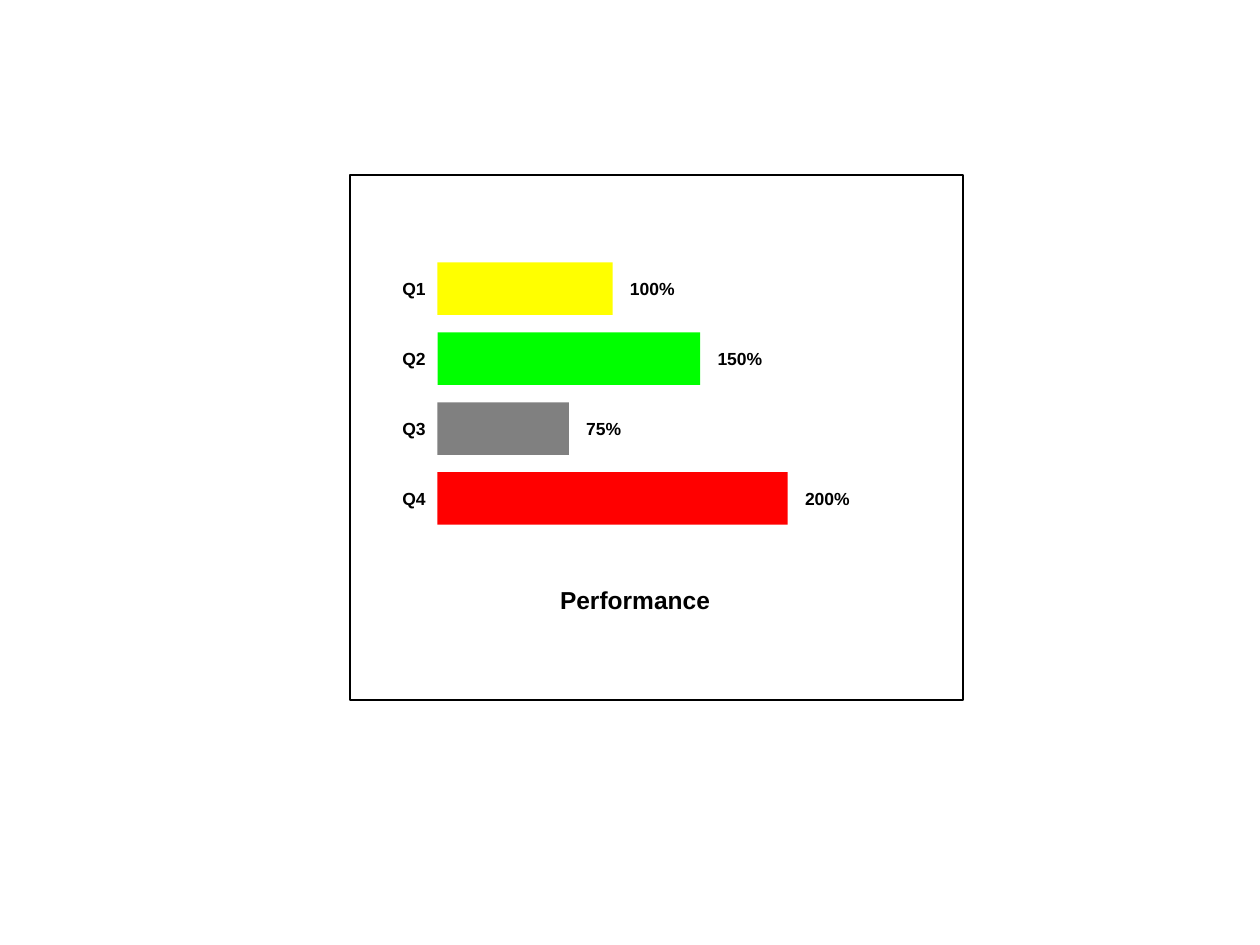
from pptx import Presentation
from pptx.dml.color import RGBColor
from pptx.enum.shapes import MSO_SHAPE
from pptx.enum.text import MSO_ANCHOR
from pptx.util import Cm, Pt

RECTANGLE = MSO_SHAPE.RECTANGLE
MIDDLE = MSO_ANCHOR.MIDDLE

COLORS = {
    "black": "000000",
    "yellow": "FFFF00",
    "green": "00FF00",
    "gray": "808080",
    "red": "FF0000",
}
QUARTERS = [
    ("Q1", 100, "yellow"),
    ("Q2", 150, "green"),
    ("Q3", 75, "gray"),
    ("Q4", 200, "red"),
]

# All lengths in centimetres
LABEL_LEFT = 8.11
BAR_LEFT, BAR_TOP = 8.82, 5.29
BAR_HEIGHT, BAR_PITCH = 1.06, 1.41
FULL_BAR_WIDTH = 3.53  # width of a 100% bar
VALUE_GAP = 0.35
TEXT_HEIGHT, CHARACTER_WIDTH = 0.64, 0.24


def color(name):
    return RGBColor.from_string(COLORS[name])


def add_text(page, text, left, top, width, height, size):
    box = page.shapes.add_textbox(Cm(left), Cm(top), Cm(width), Cm(height))
    frame = box.text_frame
    frame.margin_left = frame.margin_right = 0
    frame.margin_top = frame.margin_bottom = 0
    frame.vertical_anchor = MIDDLE
    frame.word_wrap = False
    para = frame.paragraphs[0]
    para.text = text
    para.font.name = "Arial"
    para.font.size = Pt(size)
    para.font.bold = True
    para.font.color.rgb = color("black")


def add_rectangle(page, left, top, width, height, fill=None, line=None):
    shape = page.shapes.add_shape(
        RECTANGLE, Cm(left), Cm(top), Cm(width), Cm(height))
    shape.shadow.inherit = False
    if fill:
        shape.fill.solid()
        shape.fill.fore_color.rgb = color(fill)
    else:
        shape.fill.background()
    if line:
        shape.line.color.rgb = color(line)
        shape.line.width = Pt(1)
    else:
        shape.line.fill.background()


def add_quarter(page, index, label, percent, fill):
    """Draw one bar with its name on the left and its value on the right."""
    top = BAR_TOP + index * BAR_PITCH
    width = FULL_BAR_WIDTH * percent / 100
    value_left = BAR_LEFT + width + VALUE_GAP
    text_top = top + (BAR_HEIGHT - TEXT_HEIGHT) / 2
    for text, left in ((label, LABEL_LEFT), (f"{percent}%", value_left)):
        add_text(page, text, left, text_top,
                 CHARACTER_WIDTH * len(text), TEXT_HEIGHT, 10)
    add_rectangle(page, BAR_LEFT, top, width, BAR_HEIGHT, fill=fill)


def main():
    deck = Presentation()
    deck.slide_width, deck.slide_height = Cm(25.4), Cm(19.05)
    page = deck.slides.add_slide(deck.slide_layouts[6])
    for index, (label, percent, fill) in enumerate(QUARTERS):
        add_quarter(page, index, label, percent, fill)
    add_rectangle(page, 7.06, 3.53, 12.35, 10.58, line="black")
    add_text(page, "Performance", 11.29, 11.64, 3.18, 0.89, 14)
    deck.save("out.pptx")


if __name__ == "__main__":
    main()
